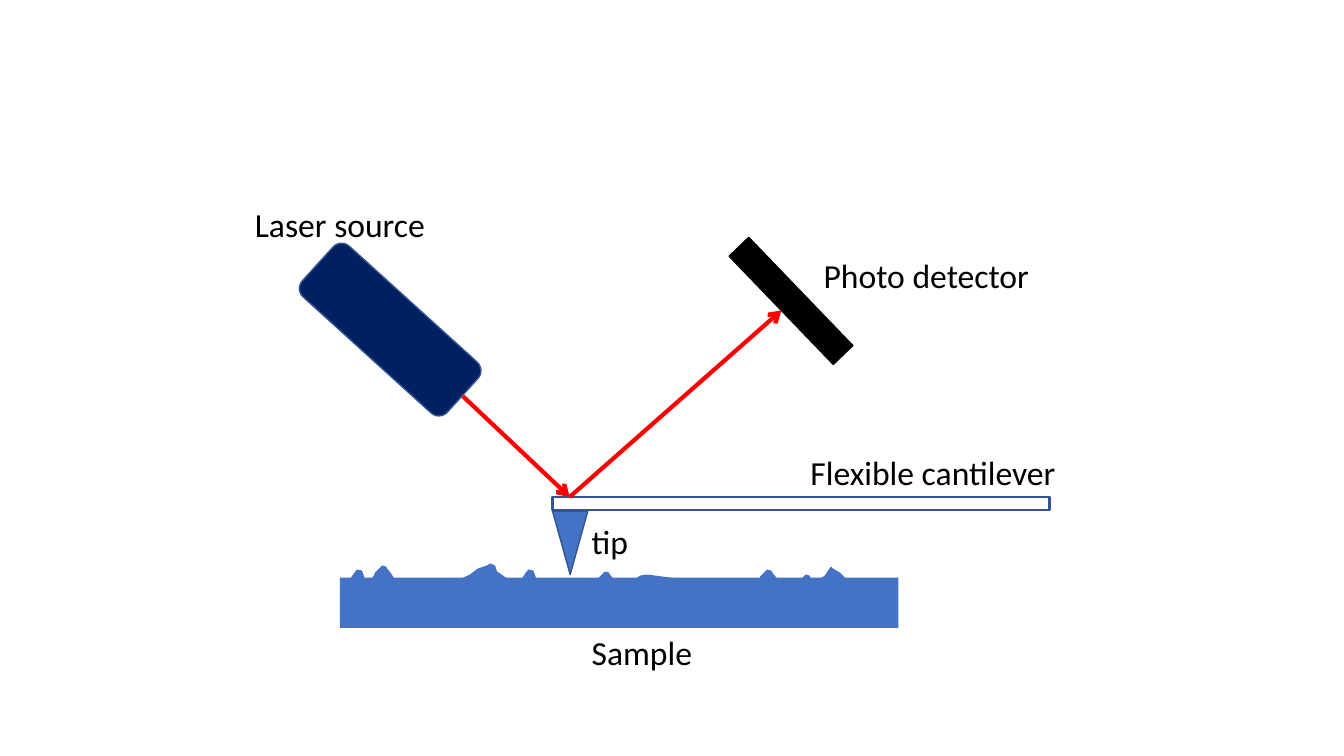
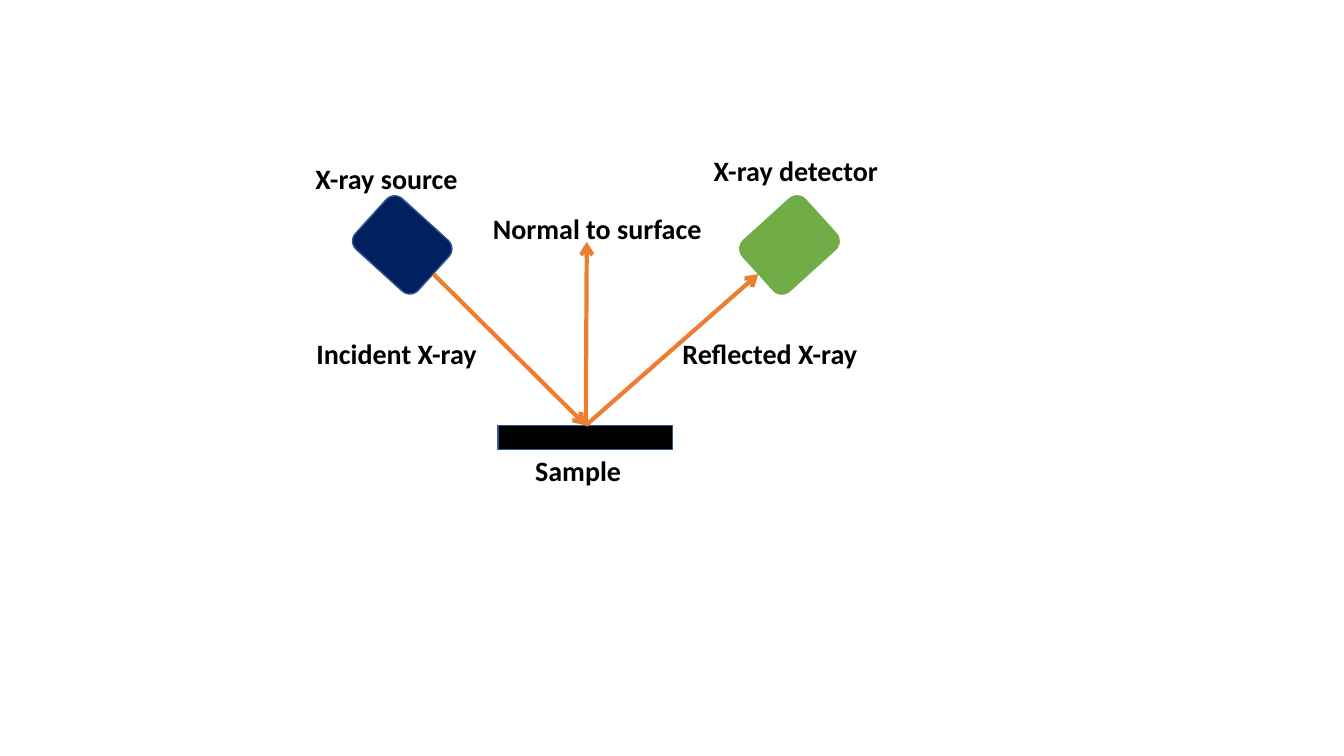
from lxml.etree import SubElement
from pptx import Presentation
from pptx.dml.color import RGBColor
from pptx.enum.shapes import MSO_CONNECTOR, MSO_SHAPE
from pptx.enum.text import MSO_AUTO_SIZE
from pptx.oxml.ns import qn
from pptx.util import Inches, Pt

BLACK = RGBColor(0x00, 0x00, 0x00)
NAVY = RGBColor(0x00, 0x20, 0x60)
BLUE = RGBColor(0x44, 0x72, 0xC4)
OUTLINE = RGBColor(0x32, 0x54, 0x91)
GREEN = RGBColor(0x70, 0xAD, 0x47)
RED = RGBColor(0xFF, 0x00, 0x00)
ORANGE = RGBColor(0xED, 0x7D, 0x31)

TOP, LEFT, BOTTOM, RIGHT = range(4)
HUNDREDTH = Inches(1) / 100

PEAK = [(0, 16), (6, 7), (8, 4), (11, 0), (16, 1), (19, 9), (20, 15), (4, 20)]
MOUND = [(1, 15), (5, 10), (6, 7), (13, 0), (17, 1), (18, 3), (22, 8), (27, 16), (22, 18)]
RIDGE = [(1, 37), (2, 32), (14, 25), (43, 25), (46, 23), (54, 18), (69, 11), (77, 5),
         (86, 2), (89, 0), (94, 2), (96, 8), (102, 12), (110, 18), (114, 20), (148, 22),
         (153, 25), (147, 33), (72, 34), (62, 37), (17, 40)]
SWELL = [(1, 18), (24, 16), (39, 14), (31, 10), (13, 3), (16, 1), (23, 0), (53, 4),
         (63, 7), (70, 10), (78, 12), (91, 16), (96, 24), (106, 22), (126, 16),
         (123, 22), (104, 27), (20, 25), (10, 21)]
HILL = [(115, 37), (115, 33), (106, 25), (84, 25), (81, 23), (75, 18), (64, 12), (58, 6),
        (51, 2), (49, 0), (43, 9), (39, 12), (33, 18), (24, 21), (4, 22), (0, 25),
        (4, 34), (61, 35), (69, 37), (104, 40)]

BUMPS = [
    (PEAK, 343, 565), (MOUND, 366, 561), (RIDGE, 397, 559),
    (PEAK, 513, 565), (SWELL, 619, 570), (MOUND, 748, 565),
    (MOUND, 587, 567), (MOUND, 786, 570), (HILL, 775, 562),
]


class Diagram:
    font = "Calibri"
    beam_width = Pt(3)

    def __init__(self, prs, size, bold=False, wrap=True):
        self.s = prs.slides.add_slide(prs.slide_layouts[6])
        self.size, self.bold, self.wrap = Pt(size), bold, wrap

    def paint(self, sp, fill=None, line=None, width=1):
        sp.shadow.inherit = False
        if fill is None:
            sp.fill.background()
        else:
            sp.fill.solid()
            sp.fill.fore_color.rgb = fill
        if line is None:
            sp.line.fill.background()
        else:
            sp.line.color.rgb = line
            sp.line.width = Pt(width)
        return sp

    def shape(self, kind, x, y, w, h, fill=None, line=None, width=1, rot=0, parent=None):
        shapes = (parent or self.s).shapes
        sp = shapes.add_shape(kind, Inches(x), Inches(y), Inches(w), Inches(h))
        sp.rotation = rot
        return self.paint(sp, fill, line, width)

    def sample_surface(self, bumps, fill):
        group = self.s.shapes.add_group_shape()
        for outline, x, y in bumps:
            points = [(x + dx, y + dy) for dx, dy in outline]
            builder = group.shapes.build_freeform(*points[0], scale=HUNDREDTH)
            builder.add_line_segments(points[1:], close=True)
            self.paint(builder.convert_to_shape(), fill)
        self.shape(MSO_SHAPE.RECTANGLE, 3.37, 5.73, 5.54, 0.5, fill, parent=group)

    def beam(self, start, end, color, begin=None, finish=None):
        ends = [Inches(v) for v in start + end]
        c = self.s.shapes.add_connector(MSO_CONNECTOR.STRAIGHT, *ends)
        if begin:
            c.begin_connect(*begin)
        if finish:
            c.end_connect(*finish)
        c.begin_x, c.begin_y, c.end_x, c.end_y = ends
        c.line.color.rgb = color
        c.line.width = self.beam_width
        SubElement(c.line._get_or_add_ln(), qn("a:tailEnd"), type="arrow")
        SubElement(c._element.spPr, qn("a:effectLst"))

    def label(self, text, x, y, w, h):
        tf = self.s.shapes.add_textbox(Inches(x), Inches(y), Inches(w), Inches(h)).text_frame
        tf.word_wrap = self.wrap
        tf.auto_size = MSO_AUTO_SIZE.SHAPE_TO_FIT_TEXT
        r = tf.paragraphs[0].add_run()
        r.text = text
        r.font.name = self.font
        r.font.size = self.size
        r.font.bold = self.bold
        r.font.color.rgb = BLACK


def force_microscope(prs):
    d = Diagram(prs, 24)
    d.shape(MSO_SHAPE.RECTANGLE, 5.48, 4.93, 4.93, 0.13, line=OUTLINE, width=1.5)
    d.shape(MSO_SHAPE.ISOSCELES_TRIANGLE, 5.48, 5.07, 0.35, 0.63, BLUE, OUTLINE, rot=180)
    laser = d.shape(MSO_SHAPE.ROUNDED_RECTANGLE, 2.9, 2.93, 1.94, 0.68, NAVY, OUTLINE, rot=42.2)
    detector = d.shape(MSO_SHAPE.RECTANGLE, 7.1, 2.85, 1.49, 0.27, BLACK, BLACK, rot=46.1)
    spot = (5.65, 4.93)
    d.beam((4.59, 3.93), spot, RED, begin=(laser, RIGHT))
    d.beam(spot, (7.75, 3.08), RED, finish=(detector, BOTTOM))
    for text, x, y, w in [
        ("Photo detector", 8.07, 2.48, 2.24),
        ("Laser source", 2.43, 1.97, 2.24),
        ("Flexible cantilever", 7.94, 4.43, 2.65),
        ("tip", 5.77, 5.12, 0.71),
        ("Sample", 5.77, 6.22, 1.3),
    ]:
        d.label(text, x, y, w, 0.5)
    d.sample_surface(BUMPS, BLUE)


def xray_reflection(prs):
    d = Diagram(prs, 20, bold=True, wrap=False)
    source = d.shape(MSO_SHAPE.ROUNDED_RECTANGLE, 3.57, 2.09, 0.84, 0.68, NAVY, OUTLINE, rot=42.2)
    sample = d.shape(MSO_SHAPE.RECTANGLE, 4.94, 4.22, 1.73, 0.24, BLACK, OUTLINE)
    detector = d.shape(MSO_SHAPE.ROUNDED_RECTANGLE, 7.41, 2.09, 0.84, 0.68, GREEN, GREEN, rot=317.8)
    spot, surface = (5.81, 4.22), (sample, TOP)
    d.beam((4.3, 2.72), spot, ORANGE, begin=(source, RIGHT), finish=surface)
    d.beam(spot, (7.52, 2.72), ORANGE, begin=surface, finish=(detector, LEFT))
    d.beam(spot, (5.82, 2.4), ORANGE, begin=surface)
    for text, x, y, w in [
        ("X-ray source", 3.03, 1.55, 1.63),
        ("X-ray detector", 6.98, 1.47, 1.85),
        ("Incident X-ray", 3.04, 3.29, 1.81),
        ("Reflected X-ray", 6.67, 3.29, 1.96),
        ("Sample", 5.21, 4.45, 1.06),
        ("Normal to surface", 4.79, 2.05, 2.29),
    ]:
        d.label(text, x, y, w, 0.44)


def main():
    prs = Presentation()
    prs.slide_width, prs.slide_height = Inches(13.33), Inches(7.5)
    force_microscope(prs)
    xray_reflection(prs)
    prs.save("out.pptx")


if __name__ == "__main__":
    main()
